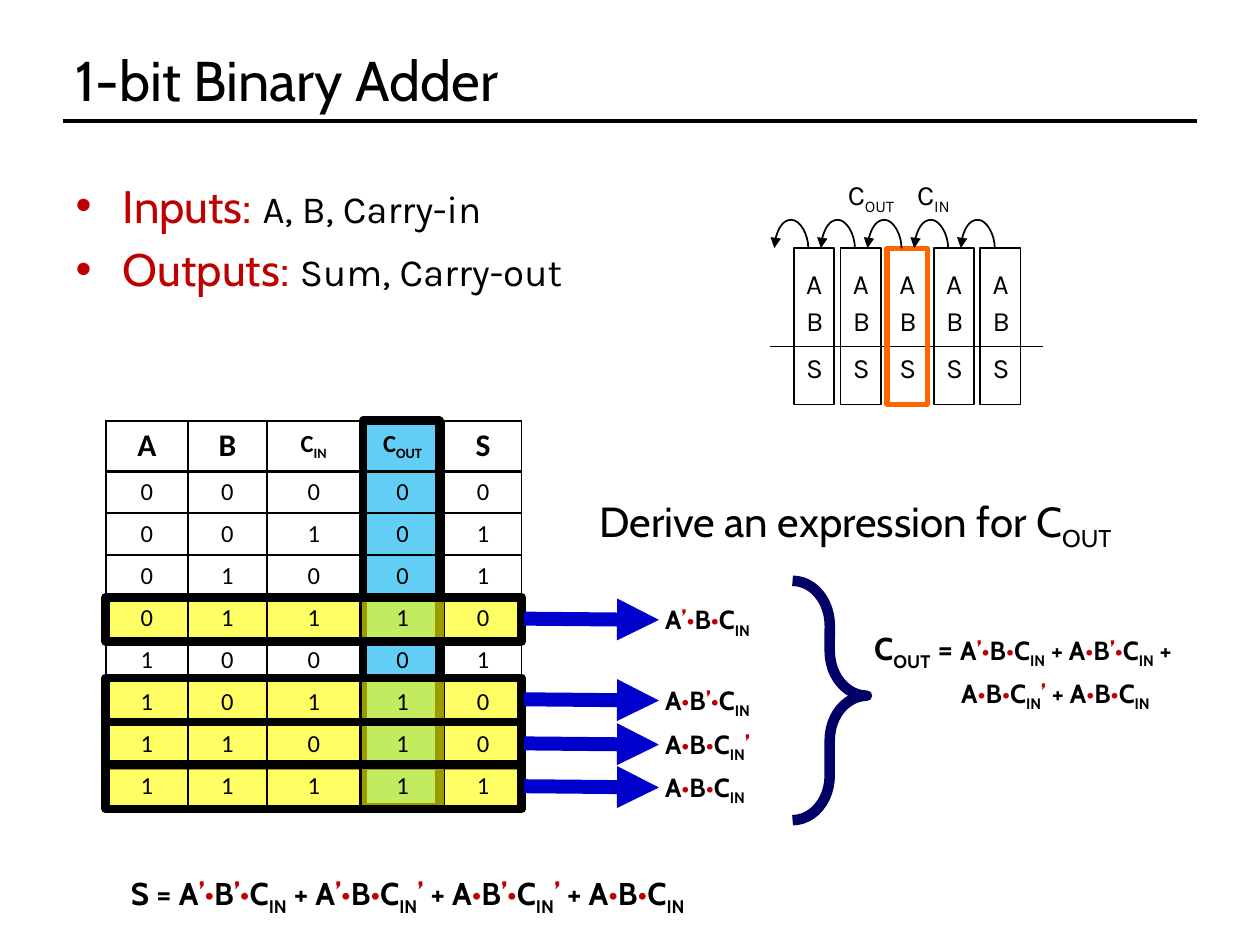
from itertools import product

from lxml.etree import SubElement
from pptx import Presentation
from pptx.dml.color import RGBColor
from pptx.enum.shapes import MSO_CONNECTOR as CONN, MSO_SHAPE as SHAPE
from pptx.enum.text import MSO_ANCHOR as ANCHOR, PP_ALIGN as ALIGN
from pptx.oxml.ns import qn
from pptx.util import Emu, Inches, Pt

BLACK = RGBColor(0x00, 0x00, 0x00)
RED = RGBColor(0xC0, 0x00, 0x00)
CYAN = RGBColor(0x00, 0xB0, 0xF0)
YELLOW = RGBColor(0xFF, 0xFF, 0x00)
ORANGE = RGBColor(0xFF, 0x66, 0x00)
BLUE = RGBColor(0x00, 0x00, 0xCC)
NAVY = RGBColor(0x00, 0x00, 0x66)
HEAD, BODY, CELL = "Cabin", "Karla", "Calibri"

# The slide is a grid of 100 columns by 75 rows, each a tenth of an inch.
COLS, ROWS = 100, 75


def grid(n):
    return Inches(n / 10)


class Deck:
    """Holds the slide and draws on it in grid units."""

    def __init__(self):
        self.prs = Presentation()
        self.prs.slide_width, self.prs.slide_height = grid(COLS), grid(ROWS)
        self.s = self.prs.slides.add_slide(self.prs.slide_layouts[1])

    def place(self, sp, x, y, w, h):
        sp.left, sp.top, sp.width, sp.height = map(grid, (x, y, w, h))

    def add_runs(self, p, pieces, font, bold=False):
        """Add (text, size) pieces: [..] is a subscript, ’ and • are red."""
        p.font.name, p.font.size, p.font.bold = font, Pt(pieces[0][1]), bold
        p.font.color.rgb = BLACK
        for text, size in pieces:
            for mark, split in (("[", "|["), ("]", "|"), ("’", "|’|"), ("•", "|•|")):
                text = text.replace(mark, split)
            for part in filter(None, text.split("|")):
                r = p.add_run()
                r.text = part.lstrip("[")
                if size != pieces[0][1]:
                    r.font.size = Pt(size)
                if part.startswith("["):
                    r.font._element.set("baseline", "-25000")
                elif part in "’•":
                    r.font.color.rgb = RED
                    r.font.bold = part == "’"

    def title(self, text, x, y, w, h):
        sp = self.s.shapes.title
        self.place(sp, x, y, w, h)
        p = sp.text_frame.paragraphs[0]
        p.alignment = ALIGN.LEFT
        self.add_runs(p, [(text, 32)], HEAD)

    def bullets(self, items, x, y, w, h):
        sp = self.s.placeholders[1]
        self.place(sp, x, y, w, h)
        tf = sp.text_frame
        for i, (label, text) in enumerate(items):
            p = tf.add_paragraph() if i else tf.paragraphs[0]
            for words, font, size, color in ((label, HEAD, 26, RED), (text, BODY, 22, BLACK)):
                r = p.add_run()
                r.text = words
                r.font.name, r.font.size, r.font.color.rgb = font, Pt(size), color

    def text(self, pieces, x, y, w, h, font=HEAD, bold=False, before=0):
        tf = self.s.shapes.add_textbox(*map(grid, (x, y, w, h))).text_frame
        tf.word_wrap = True
        p = tf.paragraphs[0]
        p.space_before = Pt(before)
        self.add_runs(p, pieces, font, bold)
        return tf

    def tabbed(self, letter, count, step, x, y, w, h):
        """Repeat a letter at evenly spaced tab stops."""
        tf = self.text([("\t".join(letter * count), 16)], x, y, w, h, BODY)
        pPr = tf.paragraphs[0]._p.get_or_add_pPr()
        tabs = pPr.makeelement(qn("a:tabLst"), {})
        pPr.find(qn("a:defRPr")).addprevious(tabs)
        for i in range(1, count):
            SubElement(tabs, qn("a:tab"), pos=str(grid(i * step)), algn="l")

    def shape(self, kind, x, y, w, h, line, width, fill=None, opacity=61):
        sp = self.s.shapes.add_shape(kind, *map(grid, (x, y, w, h)))
        sp.shadow.inherit = False
        sp.line.color.rgb, sp.line.width = line, Pt(width)
        if fill is None:
            sp.fill.background()
        else:
            sp.fill.solid()
            sp.fill.fore_color.rgb = fill
            color = sp._element.spPr.find(qn("a:solidFill"))[0]
            SubElement(color, qn("a:alpha"), val=str(opacity * 1000))
        return sp

    def line(self, x1, y1, x2, y2, color=BLACK, width=1, arrow=False, kind=CONN.STRAIGHT):
        c = self.s.shapes.add_connector(kind, *map(grid, (x1, y1, x2, y2)))
        c.line.color.rgb, c.line.width = color, Pt(width)
        if arrow:
            SubElement(c.line._get_or_add_ln(), qn("a:tailEnd"), type="triangle")
        SubElement(c._element.spPr, qn("a:effectLst"))
        return c

    def arch(self, x, y, span, rise):
        """Draw a curved arrow over x, from its right foot to its left one."""
        c = self.line(x, y - span / 2, x, y + span / 2, arrow=True, kind=CONN.CURVE)
        c.width = Emu(1588)
        spPr = c._element.spPr
        xfrm = spPr.find(qn("a:xfrm"))
        xfrm.set("rot", "5400000")
        xfrm.set("flipH", "1")
        guides = spPr.find(qn("a:prstGeom")).find(qn("a:avLst"))
        adj = round(grid(rise) / c.width * 100000)
        SubElement(guides, qn("a:gd"), name="adj1", fmla=f"val {adj}")

    def table(self, rows, x, y, widths, heights):
        frame = self.s.shapes.add_table(len(rows), len(widths), *map(
            grid, (x, y, sum(widths), sum(heights))))
        t = frame.table
        t.first_row = t.horz_banding = False
        for col, w in zip(t.columns, widths):
            col.width = grid(w)
        for row, h in zip(t.rows, heights):
            row.height = grid(h)
        for r, c in product(range(len(rows)), range(len(widths))):
            cell, text = t.cell(r, c), rows[r][c]
            cell.vertical_anchor = ANCHOR.MIDDLE
            cell.margin_top = cell.margin_bottom = grid(0.4)
            p = cell.text_frame.paragraphs[0]
            p.alignment = ALIGN.CENTER
            size = 18 if r == 0 and len(text) == 1 else 14
            self.add_runs(p, [(text, size)], CELL, bold=r == 0)
            thick = {"lnL": c == 3, "lnR": c == 2, "lnT": r == 1, "lnB": r == 0}
            tcPr = cell._tc.get_or_add_tcPr()
            for side, heavy in thick.items():
                ln = SubElement(tcPr, qn("a:" + side), w=str(Pt(2.25 if heavy else 1)))
                SubElement(SubElement(ln, qn("a:solidFill")), qn("a:srgbClr"), val=str(BLACK))
            cell.fill.background()


def carry_diagram(d):
    count, step, left, top = 5, 3.7, 63, 19.7
    d.line(61.1, 27.5, 82.8, 27.5)
    for letter, y in (("A", 20.7), ("B", 23.6), ("S", 27.3)):
        d.tabbed(letter, count, step, left, y, 21.1, 3.7)
    for i in range(count):
        color, width = (ORANGE, 3) if i == 2 else (BLACK, 1)
        d.shape(SHAPE.RECTANGLE, left + i * step, top, 3.2, 12.4, color, width)
        d.arch(62.8 + i * step, top, 2.7, 2.5)
    d.text([("C[IN]", 16)], 71.8, 13.6, 6.1, 3.7, BODY)
    d.text([("C[OUT]", 16)], 66.3, 13.6, 7.2, 3.7, BODY)


def truth_table(d):
    left, top, width = 8.4, 33.4, 33
    terms = ((47.4, "A’•B•C[IN]"), (53.8, "A•B’•C[IN]"),
             (57.3, "A•B•C[IN]’"), (60.7, "A•B•C[IN]"))
    d.shape(SHAPE.RECTANGLE, 28.8, top, 6.1, 30.7, BLACK, 5, CYAN)
    for y, term in terms:
        d.shape(SHAPE.RECTANGLE, left, y, width, 3.5, BLACK, 5, YELLOW)
        d.line(41.6, y + 1.7, 52.3, y + 1.8, BLUE, 8, arrow=True)
        d.text([(term, 15)], 51.8, y, 12.6, 3.6, bold=True, before=3)
    rows = [("A", "B", "C[IN]", "C[OUT]", "S")]
    for bits in product((0, 1), repeat=3):
        carry, total = divmod(sum(bits), 2)
        rows.append([str(v) for v in (*bits, carry, total)])
    d.table(rows, left, top, (6.5, 6.3, 7.4, 6.7, 6.1), [4] + [3.33] * 8)


def expressions(d):
    brace = d.shape(SHAPE.RIGHT_BRACE, 62.9, 46.1, 5.9, 19, NAVY, 6)
    brace.adjustments[0], brace.adjustments[1] = 0.6, 0.48
    d.text([("S = A’•B’•C[IN] + A’•B•C[IN]’ + A•B’•C[IN]’ + A•B•C[IN]", 18)],
           9.4, 68.9, 59, 4.5, bold=True, before=3.6)
    tf = d.text([("C[OUT] = ", 18), ("A’•B•C[IN] + A•B’•C[IN] +", 15)],
                68.4, 49.4, 30.6, 4.5, bold=True, before=3.6)
    p = tf.add_paragraph()
    p.space_before = Pt(3)
    p._p.get_or_add_pPr().set("marL", str(grid(6.9)))
    d.add_runs(p, [("A•B•C[IN]’ + A•B•C[IN]", 15)], HEAD, bold=True)
    d.text([("Derive an expression for C[OUT]", 24)], 46.6, 38.8, 44, 5)


def main():
    d = Deck()
    d.line(5, 9.6, 95, 9.6, width=2)
    d.title("1-bit Binary Adder", 5, 3, 90, 6.6)
    d.bullets([("Inputs: ", "A, B, Carry-in"), ("Outputs: ", "Sum, Carry-out")],
              5, 13.6, 90, 56.2)
    carry_diagram(d)
    truth_table(d)
    expressions(d)
    d.prs.save("out.pptx")


if __name__ == "__main__":
    main()
